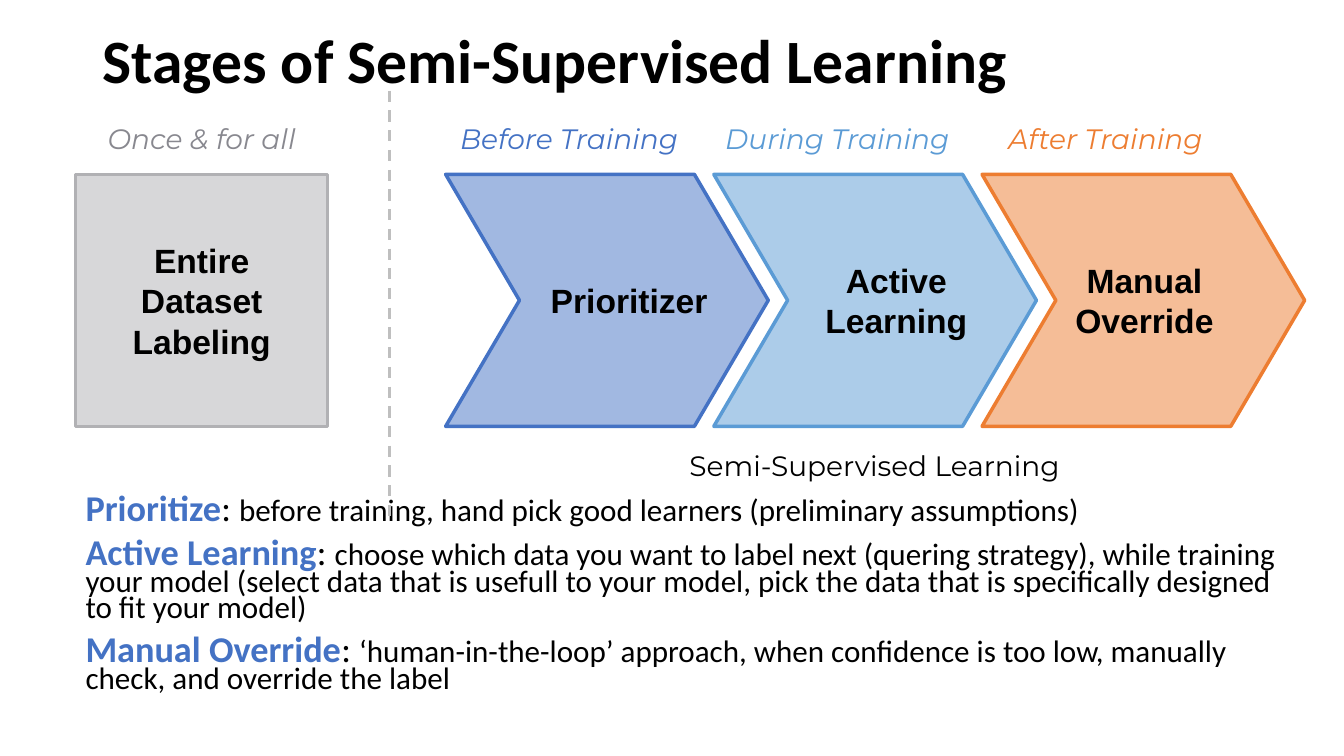
from pptx import Presentation
from pptx.dml.color import RGBColor
from pptx.enum import dml, shapes, text
from pptx.oxml.ns import qn
from pptx.util import Inches, Pt
from lxml import etree

TITLE = "Stages of Semi-Supervised Learning"
CAPTION = "Semi-Supervised Learning"
BLACK, BLUE, DASH = "000000", "4472C4", "BFBFBF"

# phase, phase color, name, name offset from stage left, lines in name
STAGES = [
    ("Before Training", BLUE, "Prioritizer", 0.86, 1),
    ("During Training", "5B9BD5", "Active Learning", 0.85, 2),
    ("After Training", "ED7D31", "Manual Override", 0.65, 2),
]
ONCE = ("Once & for all", "88888F", "Entire Dataset Labeling", 0.29, 3)
BOX = "B1B1B4"

NOTES = [
    ("Prioritize", "before training, hand pick good learners (preliminary assumptions)"),
    ("Active Learning", "choose which data you want to label next (quering strategy), "
     "while training your model (select data that is usefull to your model, "
     "pick the data that is specifically designed to fit your model)"),
    ("Manual Override", "‘human-in-the-loop’ approach, when confidence is too low, "
     "manually check, and override the label"),
]

# Layout
LEFT, TOP, HIGH = 0.75, 1.73, 2.5
FIRST, STEP, WIDE = 4.42, 2.66, 3.2
PHASE_TOP, PHASE_WIDE, NAME_WIDE = 1.15, 2.45, 1.92

deck = Presentation()
deck.slide_width, deck.slide_height = Inches(13.33), Inches(7.5)
slide = deck.slides.add_slide(deck.slide_layouts[6])


def color(code):
    return RGBColor.from_string(code)


def style(font, size, code, face="Calibri", bold=False, italic=False):
    font.size, font.name = Pt(size), face
    font.bold, font.italic = bold, italic
    font.color.rgb = color(code)


def frame(x, y, w, h, anchor=text.MSO_ANCHOR.TOP):
    box = slide.shapes.add_textbox(*map(Inches, (x, y, w, h)))
    box.text_frame.word_wrap = True
    box.text_frame.vertical_anchor = anchor
    return box.text_frame


def label(words, x, y, w, h, size, code, face, **looks):
    para = frame(x, y, w, h, text.MSO_ANCHOR.MIDDLE).paragraphs[0]
    para.text = words
    para.alignment = text.PP_ALIGN.CENTER
    style(para.font, size, code, face, **looks)


def block(kind, x, w, code):
    part = slide.shapes.add_shape(kind, *map(Inches, (x, TOP, w, HIGH)))
    part.shadow.inherit = False
    part.fill.solid()
    part.fill.fore_color.rgb = color(code)
    tint = part.fill._xPr.find(qn("a:solidFill"))[0]
    etree.SubElement(tint, qn("a:alpha")).set("val", "50000")
    part.line.color.rgb = color(code)
    part.line.width = Pt(2.5)
    return part


def phase(words, x, w, code):
    label(words, x, PHASE_TOP, w, 0.44, 20, code, "Montserrat", italic=True)


def name(words, x, lines):
    high = 0.1 + 0.4 * lines
    label(words, x, TOP + (HIGH - high) / 2, NAME_WIDE, high, 24, BLACK, "Arial", bold=True)


# Title
head = frame(0.92, -0.09, 11.5, 1.45, text.MSO_ANCHOR.MIDDLE).paragraphs[0]
head.text = TITLE
head.line_spacing = 0.9
style(head.font, 44, BLACK, bold=True)

# Explanations
body = frame(LEFT, 4.88, 12.2, 2.13)
for i, (term, words) in enumerate(NOTES):
    para = body.add_paragraph() if i else body.paragraphs[0]
    para.line_spacing = 0.7
    if i:
        para.space_before = Pt(10)
    for part, size, code, bold in ((term, 25.9, BLUE, True), (": ", 25.9, BLACK, False),
                                   (words, 22.2, BLACK, False)):
        run = para.add_run()
        run.text = part
        style(run.font, size, code, bold=bold)

# Stages
for i, (when, code, what, shift, lines) in enumerate(STAGES):
    x = FIRST + i * STEP
    block(shapes.MSO_SHAPE.CHEVRON, x, WIDE, code).adjustments[0] = 0.293
    phase(when, x, PHASE_WIDE, code)
    name(what, x + shift, lines)
label(CAPTION, 5.82, 4.4, 5.71, 0.44, 20, BLACK, "Montserrat")

# Labeling done once
when, code, what, shift, lines = ONCE
block(shapes.MSO_SHAPE.RECTANGLE, LEFT, HIGH, BOX)
name(what, LEFT + shift, lines)
phase(when, LEFT, HIGH, code)

# Divider
rule = slide.shapes.add_connector(shapes.MSO_CONNECTOR.STRAIGHT,
                                  *map(Inches, (3.86, 0.9, 3.86, 5.15)))
rule.line.color.rgb = color(DASH)
rule.line.width = Pt(2)
rule.line.dash_style = dml.MSO_LINE.DASH
etree.SubElement(rule._element.spPr, qn("a:effectLst"))

deck.save("out.pptx")
